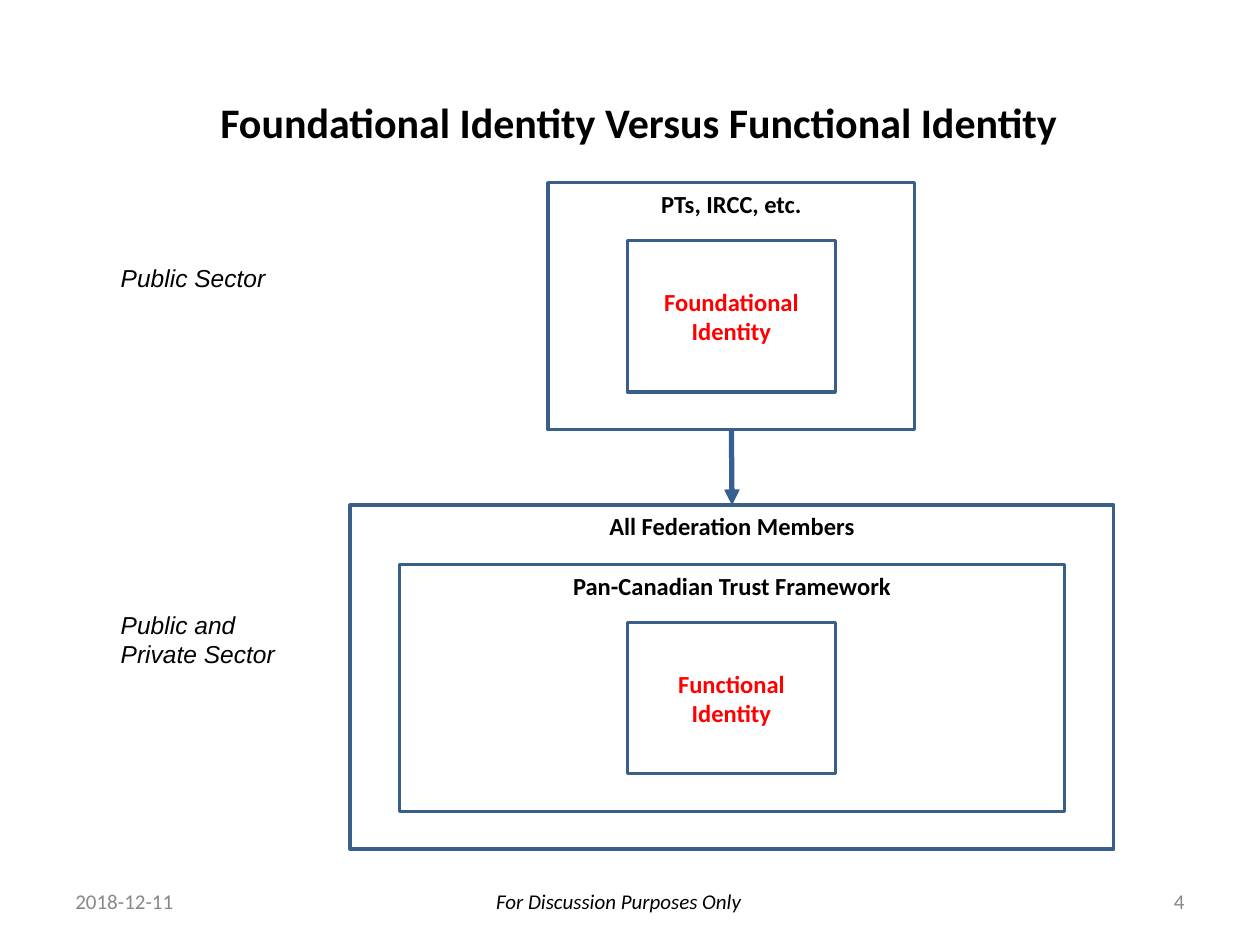
from dataclasses import dataclass

from lxml import etree
from pptx import Presentation
from pptx.dml.color import RGBColor
from pptx.enum import shapes, text
from pptx.oxml.ns import qn
from pptx.util import Emu, Pt

PX = 9144  # EMU per px, 100 px to the inch
BLACK, RED, GREY = "000000", "FF0000", "888888"
BOX_LINE, ARROW_LINE = "395E89", "366092"
LEFT, CENTER, RIGHT = text.PP_ALIGN.LEFT, text.PP_ALIGN.CENTER, text.PP_ALIGN.RIGHT
TOP, MIDDLE = text.MSO_ANCHOR.TOP, text.MSO_ANCHOR.MIDDLE


@dataclass
class Label:
    words: str
    left: int
    top: int
    width: int
    height: int
    size: int = 14
    color: str = BLACK
    font: str = "Calibri"
    bold: bool = False
    italic: bool = False
    align: text.PP_ALIGN = CENTER
    anchor: text.MSO_ANCHOR = TOP
    pad: int = 5  # top and bottom inset


def px(length: int) -> Emu:
    return Emu(length * PX)


def rgb(color: str) -> RGBColor:
    return RGBColor.from_string(color)


def place(label: Label) -> tuple:
    return tuple(px(n) for n in (label.left, label.top, label.width, label.height))


def write(shape, label: Label) -> None:
    frame = shape.text_frame
    frame.word_wrap = True
    frame.vertical_anchor = label.anchor
    frame.margin_left = frame.margin_right = px(10)
    frame.margin_top = frame.margin_bottom = px(label.pad)
    frame.text = label.words
    for para in frame.paragraphs:
        para.alignment = label.align
        for span in para.runs:
            span.font.name = label.font
            span.font.size = Pt(label.size)
            span.font.bold = label.bold
            span.font.italic = label.italic
            span.font.color.rgb = rgb(label.color)


def draw_text(page, label: Label) -> None:
    write(page.shapes.add_textbox(*place(label)), label)


def draw_box(page, label: Label):
    box = page.shapes.add_shape(shapes.MSO_SHAPE.RECTANGLE, *place(label))
    box.shadow.inherit = False
    box.fill.background()
    box.line.color.rgb = rgb(BOX_LINE)
    box.line.width = Pt(2)
    write(box, label)
    return box


def draw_arrow(page, start, end) -> None:
    arrow = page.shapes.add_connector(shapes.MSO_CONNECTOR.STRAIGHT, 0, 0, 0, 0)
    arrow.begin_connect(start, 2)
    arrow.end_connect(end, 0)
    arrow.line.color.rgb = rgb(ARROW_LINE)
    arrow.line.width = Pt(3)
    etree.SubElement(arrow.line._get_or_add_ln(), qn("a:tailEnd"), type="triangle")
    etree.SubElement(arrow._element.spPr, qn("a:effectLst"))


def main() -> None:
    deck = Presentation()
    deck.slide_width, deck.slide_height = px(1000), px(750)
    page = deck.slides.add_slide(deck.slide_layouts[6])

    # Title
    draw_text(page, Label("Foundational Identity Versus Functional Identity",
                          98, 72, 818, 50, size=24, bold=True, anchor=MIDDLE))

    # Nested boxes, outer ones first
    members = draw_box(page, Label("All Federation Members", 278, 401, 606, 273, bold=True))
    issuers = draw_box(page, Label("PTs, IRCC, etc.", 435, 145, 291, 196, bold=True))
    draw_box(page, Label("Pan-Canadian Trust Framework", 317, 448, 528, 196, bold=True))
    for words, top in (("Foundational Identity", 191), ("Functional Identity", 494)):
        draw_box(page, Label(words, 498, top, 165, 120, color=RED, bold=True, anchor=MIDDLE))
    draw_arrow(page, issuers, members)

    # Sector labels
    for words, top in (("Public Sector", 199), ("Public and\nPrivate Sector", 474)):
        draw_text(page, Label(words, 86, top, 168, 94, font="Arial", italic=True,
                              align=LEFT, pad=10))

    # Footer: date, notice, page number
    draw_text(page, Label("2018-12-11", 50, 695, 233, 40, size=12, color=GREY,
                          align=LEFT, anchor=MIDDLE))
    draw_text(page, Label("For Discussion Purposes Only", 315, 695, 352, 40, size=12,
                          italic=True, pad=10))
    draw_text(page, Label("4", 717, 695, 233, 40, size=12, color=GREY,
                          align=RIGHT, anchor=MIDDLE))

    deck.save("out.pptx")


if __name__ == "__main__":
    main()
